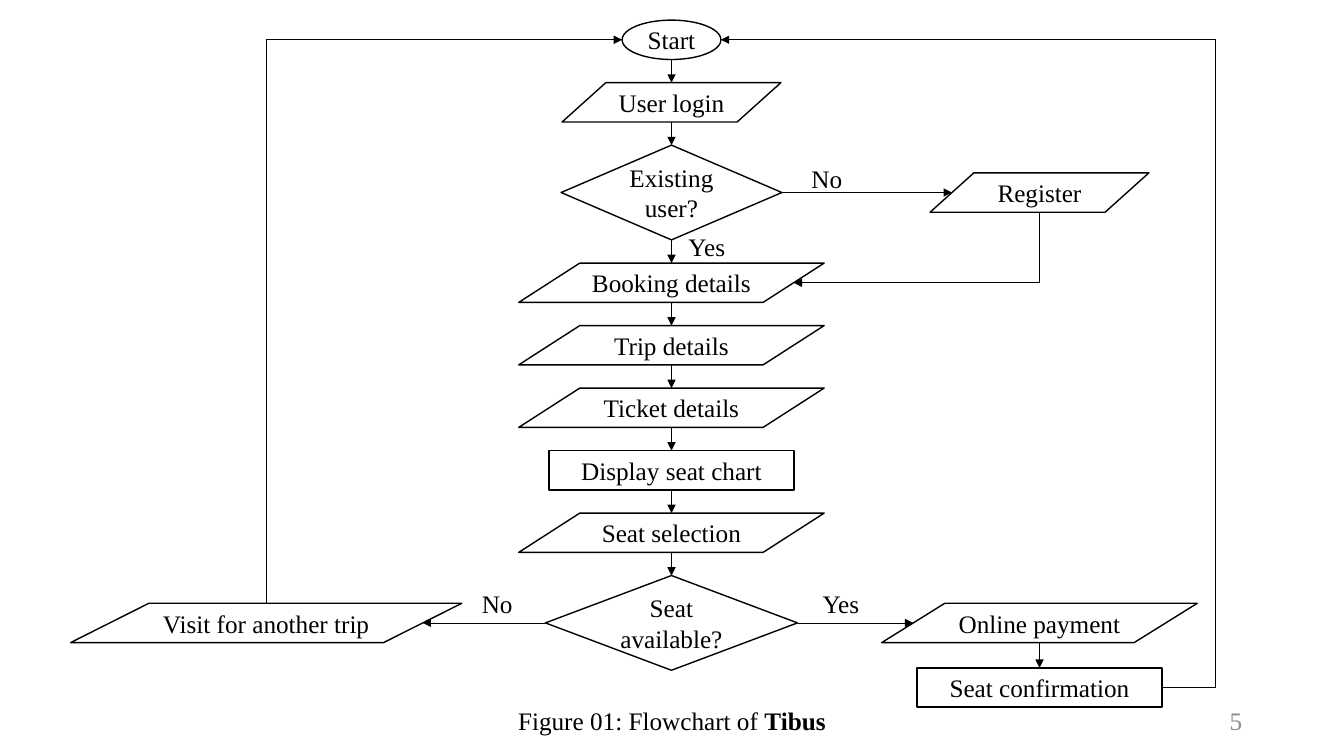
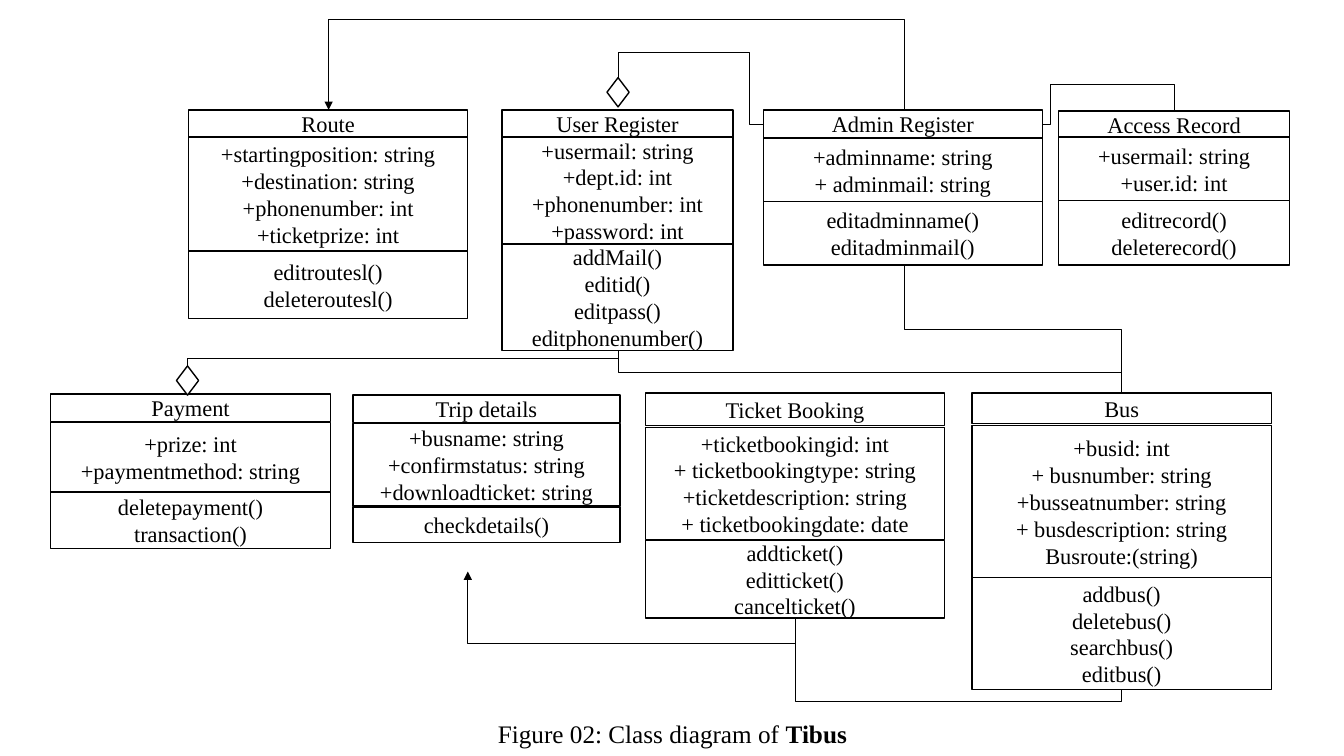
"""Build the ticketing flowchart and class diagram slides."""
from dataclasses import dataclass
from itertools import pairwise

from lxml.etree import SubElement
from pptx import Presentation
from pptx.dml.color import RGBColor
from pptx.enum.shapes import MSO_CONNECTOR as Link
from pptx.enum.shapes import MSO_SHAPE as Shape
from pptx.enum.text import MSO_ANCHOR as Anchor
from pptx.enum.text import MSO_AUTO_SIZE as AutoSize
from pptx.enum.text import PP_ALIGN as Align
from pptx.oxml.ns import qn
from pptx.shapes.autoshape import Shape as AutoShape
from pptx.shapes.connector import Connector
from pptx.slide import Slide
from pptx.text.text import TextFrame
from pptx.util import Inches, Pt

Point = tuple[float, float]
Band = tuple[float, float]
TOP, LEFT, BOTTOM, RIGHT = range(4)
IO = Shape.FLOWCHART_DATA
GLUED = (Shape.RECTANGLE, Shape.DIAMOND)


@dataclass(frozen=True)
class Theme:
    font: str = "Times New Roman"
    ink: RGBColor = RGBColor(0, 0, 0)
    paper: RGBColor = RGBColor(255, 255, 255)
    muted: RGBColor = RGBColor(0x8C, 0x8C, 0x8C)
    text: Pt = Pt(18)
    small: Pt = Pt(16)
    outline: Pt = Pt(1)
    wire: Pt = Pt(0.5)


@dataclass(frozen=True)
class Step:
    text: str
    kind: Shape = IO
    w: float = 3.03
    h: float = 0.39


@dataclass(frozen=True)
class ClassBox:
    x: float
    w: float
    bands: tuple[Band, Band, Band]
    name: str
    attrs: str
    methods: str


@dataclass(frozen=True)
class Wire:
    points: tuple[Point, ...]
    arrow: bool = False


T = Theme()
PRODUCT = "Tibus"
AXIS, SIDE_AXIS, GAP = 6.66, 10.31, 0.23

MAIN_FLOW = (
    Step("Start", Shape.OVAL, 0.98),
    Step("User login", w=2.17),
    Step("Existing user?", Shape.DIAMOND, 2.19, 0.94),
    Step("Booking details"),
    Step("Trip details"),
    Step("Ticket details"),
    Step("Display seat chart", Shape.RECTANGLE, 2.43),
    Step("Seat selection"),
    Step("Seat available?", Shape.DIAMOND, 2.5, 0.94),
)

FLOW_LABELS = (("No", 7.95, 1.57, 0.51), ("No", 4.68, 5.79, 0.51),
               ("Yes", 6.73, 2.25, 0.57), ("Yes", 8.06, 5.79, 0.57))

CLASSES = (
    ClassBox(4.98, 2.29, ((1.09, 0.27), (1.36, 1.06), (2.42, 1.06)), "User Register",
             "+usermail: string\n+dept.id: int\n+phonenumber: int\n+password: int",
             "addMail()\neditid()\neditpass()\neditphonenumber()"),
    ClassBox(1.87, 2.77, ((1.09, 0.27), (1.36, 1.13), (2.49, 0.67)), "Route",
             "+startingposition: string\n+destination: string\n+phonenumber: int\n+ticketprize: int",
             "editroutesl()\ndeleteroutesl()"),
    ClassBox(7.57, 2.77, ((1.09, 0.28), (1.37, 0.63), (2, 0.63)), "Admin Register",
             "+adminname: string\n+ adminmail: string", "editadminname()\neditadminmail()"),
    ClassBox(10.5, 2.29, ((1.1, 0.27), (1.36, 0.63), (1.99, 0.64)), "Access Record",
             "+usermail: string\n+user.id: int", "editrecord()\ndeleterecord()"),
    ClassBox(6.4, 2.97, ((3.9, 0.32), (4.24, 1.11), (5.36, 0.77)), "Ticket Booking",
             "+ticketbookingid: int\n+ ticketbookingtype: string\n"
             "+ticketdescription: string\n+ ticketbookingdate: date",
             "addticket()\neditticket()\ncancelticket()"),
    ClassBox(3.5, 2.65, ((3.92, 0.27), (4.2, 0.82), (5.03, 0.35)), "Trip details",
             "+busname: string\n+confirmstatus: string\n+downloadticket: string", "checkdetails()"),
    ClassBox(9.64, 2.97, ((3.9, 0.3), (4.22, 1.51), (5.73, 1.11)), "Bus",
             "+busid: int\n+ busnumber: string\n+busseatnumber: string\n"
             "+ busdescription: string\nBusroute:(string)",
             "addbus()\ndeletebus()\nsearchbus()\neditbus()"),
    ClassBox(0.5, 2.78, ((3.91, 0.27), (4.19, 0.69), (4.88, 0.56)), "Payment",
             "+prize: int\n+paymentmethod: string", "deletepayment()\ntransaction()"),
)

CLASS_WIRES = (
    Wire(((8.97, 1.1), (8.97, 0.18), (3.26, 0.18), (3.26, 1.09)), True),
    Wire(((7.57, 1.23), (7.43, 1.23), (7.43, 0.52), (6.13, 0.52), (6.13, 0.77))),
    Wire(((6.13, 3.48), (6.13, 3.56), (1.86, 3.56), (1.86, 3.63))),
    Wire(((6.13, 3.48), (6.13, 3.69), (11.12, 3.69), (11.12, 3.9))),
    Wire(((10.34, 1.23), (10.42, 1.23), (10.42, 0.84), (11.65, 0.84), (11.65, 1.1))),
    Wire(((8.97, 2.63), (8.97, 3.27), (11.12, 3.27), (11.12, 3.9))),
    Wire(((7.89, 6.13), (7.89, 6.38), (4.64, 6.38), (4.64, 5.67)), True),
    Wire(((7.89, 6.13), (7.89, 6.96), (11.12, 6.96), (11.12, 6.84))),
)

AGGREGATIONS = ((6.13, 0.92), (1.86, 3.78))


def write(tf: TextFrame, text: str, size: Pt = T.text, color: RGBColor = T.ink,
          align: Align = Align.LEFT) -> None:
    """Fill a text frame with one paragraph per line."""
    tf.text = text
    for p in tf.paragraphs:
        p.alignment = align
        p.font.name, p.font.size, p.font.color.rgb = T.font, size, color


def box(s: Slide, kind: Shape, x: float, y: float, w: float, h: float,
        text: str = "", size: Pt = T.text) -> AutoShape:
    """Draw an outlined shape with centred text."""
    sp = s.shapes.add_shape(kind, Inches(x), Inches(y), Inches(w), Inches(h))
    sp.shadow.inherit = False
    sp.fill.solid()
    sp.fill.fore_color.rgb = T.paper
    sp.line.color.rgb, sp.line.width = T.ink, T.outline
    if text:
        sp.text_frame.vertical_anchor = Anchor.MIDDLE
        write(sp.text_frame, text, size, align=Align.CENTER)
    return sp


def step(s: Slide, item: Step, cx: float, cy: float) -> AutoShape:
    """Draw a flowchart step around its centre."""
    return box(s, item.kind, cx - item.w / 2, cy - item.h / 2, item.w, item.h, item.text)


def label(s: Slide, text: str, x: float, y: float, w: float) -> TextFrame:
    """Place an unwrapped line of text."""
    tf = s.shapes.add_textbox(Inches(x), Inches(y), Inches(w), Inches(0.4)).text_frame
    tf.word_wrap, tf.auto_size = False, AutoSize.SHAPE_TO_FIT_TEXT
    write(tf, text)
    return tf


def caption(s: Slide, text: str, x: float, y: float, w: float) -> None:
    """Place a figure caption ending in the bold product name."""
    p = label(s, text, x, y, w).paragraphs[0]
    r = p.add_run()
    r.text, r.font.bold = PRODUCT, True


def port(sp: AutoShape, side: int) -> Point:
    """Return the middle of a side, on the slanted edge for data shapes."""
    x, y, w, h = (v.inches for v in (sp.left, sp.top, sp.width, sp.height))
    inset = w / 10 if sp.auto_shape_type == IO else 0
    return ((x + w / 2, y), (x + inset, y + h / 2),
            (x + w / 2, y + h), (x + w - inset, y + h / 2))[side]


def connector(s: Slide, kind: Link, a: Point, b: Point, arrow: bool) -> Connector:
    """Add a thin connector, optionally with an arrowhead."""
    cn = s.shapes.add_connector(kind, *(Inches(v) for v in (*a, *b)))
    cn.line.color.rgb, cn.line.width = T.ink, T.wire
    if arrow:
        SubElement(cn.line._get_or_add_ln(), qn("a:tailEnd"), type="triangle")
    SubElement(cn._element.spPr, qn("a:effectLst"))
    return cn


def link(s: Slide, a: AutoShape, b: AutoShape, out: int = BOTTOM, into: int = TOP) -> None:
    """Join two steps with a straight arrow."""
    cn = connector(s, Link.STRAIGHT, port(a, out), port(b, into), True)
    if a.auto_shape_type in GLUED:
        cn.begin_connect(a, out)
    if b.auto_shape_type in GLUED:
        cn.end_connect(b, into)


def route(s: Slide, wire: Wire) -> None:
    """Draw a right-angled connector through the given corners."""
    (x0, y0), *corners, (x1, y1) = wire.points
    upright = abs(corners[0][0] - x0) < abs(corners[0][1] - y0)

    def local(x: float, y: float) -> Point:
        """Return the offset from the start in the connector's own frame."""
        return (y - y0, x0 - x) if upright else (x - x0, y - y0)

    dx, dy = local(x1, y1)
    cx, cy = (x0 + x1) / 2, (y0 + y1) / 2
    cn = connector(s, Link.ELBOW, (cx - dx / 2, cy - dy / 2),
                   (cx + dx / 2, cy + dy / 2), wire.arrow)
    sp_pr = cn._element.spPr
    if upright:
        sp_pr.find(qn("a:xfrm")).set("rot", "5400000")
    geom = sp_pr.find(qn("a:prstGeom"))
    geom.set("prst", f"bentConnector{len(corners) + 1}")
    guides = geom.find(qn("a:avLst"))
    if len(corners) > 1:
        ratios = [local(*corners[0])[0] / dx]
        if len(corners) > 2:
            ratios.append(local(*corners[1])[1] / dy)
        for i, ratio in enumerate(ratios, 1):
            SubElement(guides, qn("a:gd"), name=f"adj{i}", fmla=f"val {round(ratio * 100000)}")


def flowchart(s: Slide) -> None:
    """Draw the booking flowchart."""
    caption(s, "Figure 01: Flowchart of ", 5.04, 6.95, 3.4)
    tf = s.shapes.add_textbox(Inches(9.42), Inches(6.95), Inches(3), Inches(0.4)).text_frame
    tf.word_wrap, tf.vertical_anchor = True, Anchor.MIDDLE
    write(tf, "5", color=T.muted, align=Align.RIGHT)

    flow, y = [], 0.2
    for item in MAIN_FLOW:
        flow.append(step(s, item, AXIS, y + item.h / 2))
        y += item.h + GAP
    start, existing, booking, available = flow[0], flow[2], flow[3], flow[-1]
    register_y, result_y = port(existing, RIGHT)[1], port(available, RIGHT)[1]
    register = step(s, Step("Register", w=2.17), SIDE_AXIS, register_y)
    visit = step(s, Step("Visit for another trip", w=3.88), 2.64, result_y)
    payment = step(s, Step("Online payment", w=3.13), SIDE_AXIS, result_y)
    confirm = step(s, Step("Seat confirmation", Shape.RECTANGLE, 2.43), SIDE_AXIS, 6.82)

    for a, b in (*pairwise(flow), (payment, confirm)):
        link(s, a, b)
    link(s, existing, register, RIGHT, LEFT)
    link(s, available, visit, LEFT, RIGHT)
    link(s, available, payment, RIGHT, LEFT)

    for a, out, b, into in ((register, BOTTOM, booking, RIGHT), (visit, TOP, start, LEFT)):
        begin, end = port(a, out), port(b, into)
        route(s, Wire((begin, (begin[0], end[1]), end), True))
    begin, end = port(confirm, RIGHT), port(start, RIGHT)
    route(s, Wire((begin, (12.06, begin[1]), (12.06, end[1]), end), True))
    for item in FLOW_LABELS:
        label(s, *item)


def class_diagram(s: Slide) -> None:
    """Draw the class boxes and their relations."""
    for c in CLASSES:
        for (y, h), text in zip(c.bands, (c.name, c.attrs, c.methods)):
            box(s, Shape.RECTANGLE, c.x, y, c.w, h, text, T.small)
    for wire in CLASS_WIRES:
        route(s, wire)
    for cx, cy in AGGREGATIONS:
        box(s, Shape.DIAMOND, cx - 0.11, cy - 0.15, 0.22, 0.29)
    caption(s, "Figure 02: Class diagram of ", 4.84, 7.08, 3.8)


def main() -> None:
    """Create and save the presentation."""
    prs = Presentation()
    prs.slide_width, prs.slide_height = Inches(13.33), Inches(7.5)
    for draw in (flowchart, class_diagram):
        draw(prs.slides.add_slide(prs.slide_layouts[6]))
    prs.save("out.pptx")


if __name__ == "__main__":
    main()
